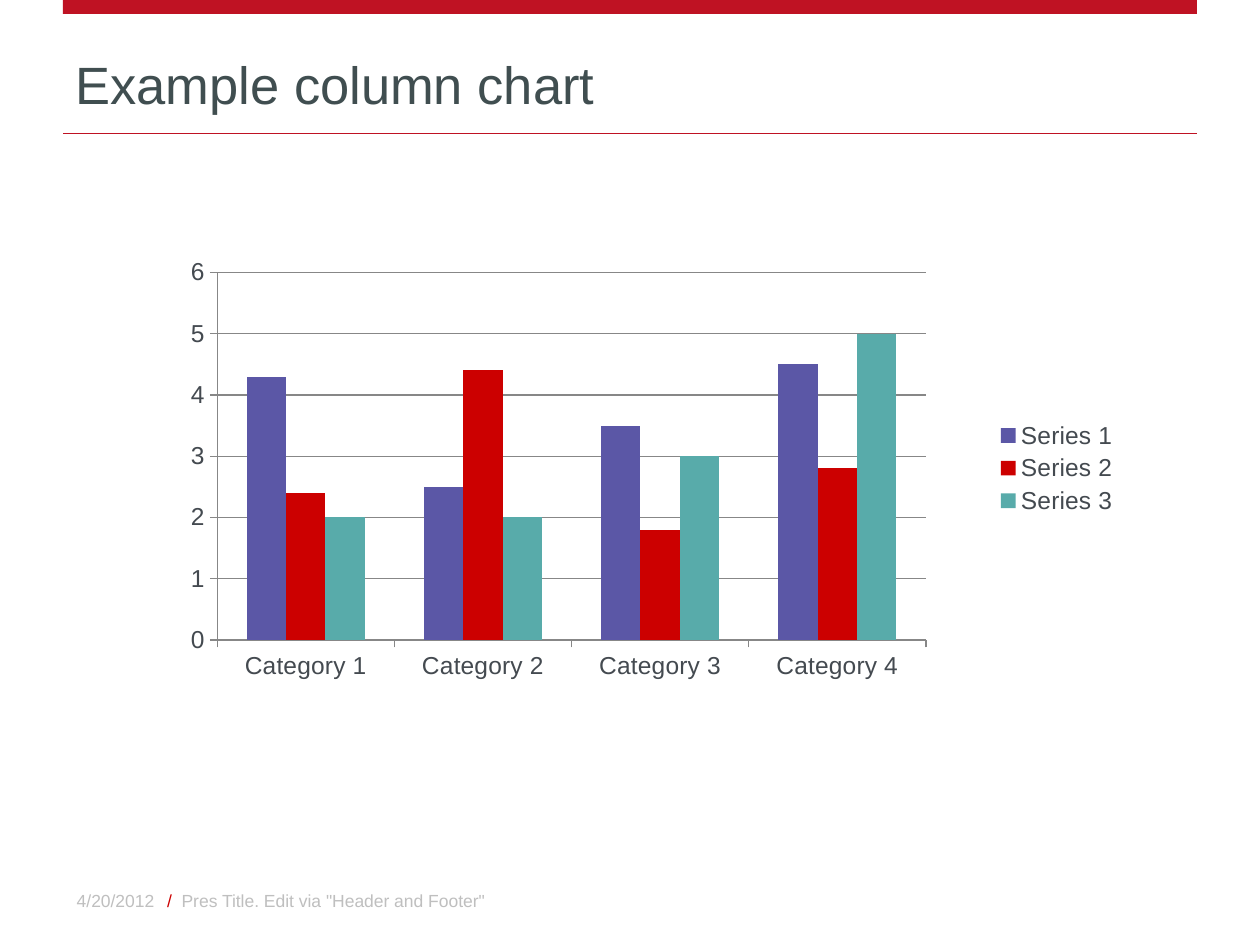
"""Build a slide with a clustered column chart."""
import pptx
import pptx.chart.data
import pptx.dml.color
import pptx.enum.chart
import pptx.enum.shapes
import pptx.enum.text
import pptx.oxml
import pptx.oxml.ns
import pptx.util

Cm, Pt = pptx.util.Cm, pptx.util.Pt
ENUM = pptx.enum.chart
ALIGN = pptx.enum.text.PP_ALIGN
ANCHOR = pptx.enum.text.MSO_ANCHOR

HUES = {"bar": "BF1223", "title": "404E50", "pale": "BFBFBF", "slash": "CC0000",
        "text": "444A50", "grid": "878787", "back": "FFFFFF"}
LEFT, WIDE = 1.27, 22.86
TEXTS = [
    ((LEFT, 0.71, WIDE, 1.73), 30, ALIGN.LEFT, ANCHOR.BOTTOM,
     [("Example column chart", "title")]),
    ((0.41, 17.65, 2.95, 1.02), 10, ALIGN.RIGHT, ANCHOR.MIDDLE,
     [("4/20/2012", "pale")]),
    ((3.12, 17.65, 8.05, 1.02), 10, ALIGN.LEFT, ANCHOR.MIDDLE,
     [("/ ", "slash"), (' Pres Title. Edit via "Header and Footer"', "pale")]),
]
CATS = ["Category 1", "Category 2", "Category 3", "Category 4"]
SERIES = [
    ("Series 1", (4.3, 2.5, 3.5, 4.5), "5B57A6"),
    ("Series 2", (2.4, 4.4, 1.8, 2.8), "CC0000"),
    ("Series 3", (2, 2, 3, 5), "58ABAA"),
]
PLOT = {"layoutTarget": "inner", "xMode": "edge", "yMode": "edge",
        "x": 0.136, "y": 0.142, "w": 0.625, "h": 0.657}
KEY = {"xMode": "edge", "yMode": "edge", "x": 0.82, "y": 0.4}
AXIS = {"major_tick_mark": ENUM.XL_TICK_MARK.OUTSIDE,
        "minor_tick_mark": ENUM.XL_TICK_MARK.NONE}
SCALE = {"minimum_scale": 0, "maximum_scale": 6, "major_unit": 1,
         "has_major_gridlines": True}


def rgb(code):
    return pptx.dml.color.RGBColor.from_string(code)


def apply(item, vals):
    for name, val in vals.items():
        setattr(item, name, val)


def paint(fill, code):
    fill.solid()
    fill.fore_color.rgb = rgb(code)


def style(font, size, hue):
    apply(font, {"name": "Arial", "size": Pt(size), "bold": False})
    font.color.rgb = rgb(HUES[hue])


def stroke(line, hue, width):
    paint(line.fill, HUES[hue])
    line.width = Pt(width)


def layout(vals):
    tags = "".join(f'<c:{tag} val="{val}"/>' for tag, val in vals.items())
    space = pptx.oxml.ns.nsdecls("c")
    return pptx.oxml.parse_xml(
        f"<c:layout {space}><c:manualLayout>{tags}</c:manualLayout></c:layout>")


def place(node, spot, vals):
    for old in node.findall(pptx.oxml.ns.qn("c:layout")):
        node.remove(old)
    node.insert(spot, layout(vals))


def add_bars(slide):
    bar = slide.shapes.add_shape(pptx.enum.shapes.MSO_SHAPE.RECTANGLE,
                                 Cm(LEFT), 0, Cm(WIDE), Cm(0.28))
    bar.shadow.inherit = False
    paint(bar.fill, HUES["bar"])
    bar.line.fill.background()
    rule = slide.shapes.add_connector(pptx.enum.shapes.MSO_CONNECTOR.STRAIGHT,
                                      Cm(LEFT), Cm(2.69), Cm(LEFT + WIDE), Cm(2.69))
    stroke(rule.line, "bar", 1)
    pptx.oxml.ns.qn("a:effectLst")
    rule._element.spPr.append(
        pptx.oxml.parse_xml(f'<a:effectLst {pptx.oxml.ns.nsdecls("a")}/>'))


def add_text(slide, box, size, align, anchor, runs):
    frame = slide.shapes.add_textbox(*map(Cm, box)).text_frame
    apply(frame, {"word_wrap": True, "vertical_anchor": anchor})
    para = frame.paragraphs[0]
    para.alignment = align
    for text, hue in runs:
        run = para.add_run()
        run.text = text
        style(run.font, size, hue)


def add_chart(slide):
    data = pptx.chart.data.CategoryChartData()
    data.categories = CATS
    for name, vals, _ in SERIES:
        data.add_series(name, vals)
    chart = slide.shapes.add_chart(ENUM.XL_CHART_TYPE.COLUMN_CLUSTERED, Cm(LEFT),
                                   Cm(3.89), Cm(WIDE), Cm(11.28), data).chart
    apply(chart, {"has_title": False, "has_legend": True})
    style(chart.font, 18, "text")
    plot = chart.plots[0]
    apply(plot, {"gap_width": 150, "overlap": 0, "vary_by_categories": False})
    for bars, (_, _, code) in zip(plot.series, SERIES):
        paint(bars.format.fill, code)
    apply(chart.value_axis, SCALE)
    stroke(chart.value_axis.major_gridlines.format.line, "grid", 0.75)
    for axis in (chart.category_axis, chart.value_axis):
        apply(axis, AXIS)
        style(axis.tick_labels.font, 14, "text")
        stroke(axis.format.line, "grid", 0.75)
    apply(chart.legend, {"position": ENUM.XL_LEGEND_POSITION.RIGHT,
                         "include_in_layout": False})
    style(chart.legend.font, 14, "text")
    root = chart._chartSpace.chart
    place(root.plotArea, 0, PLOT)
    place(root.legend, 1 if root.legend.legendPos is not None else 0, KEY)


def main():
    deck = pptx.Presentation()
    apply(deck, {"slide_width": Cm(25.4), "slide_height": Cm(19.05)})
    slide = deck.slides.add_slide(deck.slide_layouts[6])
    paint(slide.background.fill, HUES["back"])
    add_bars(slide)
    for item in TEXTS:
        add_text(slide, *item)
    add_chart(slide)
    deck.save("out.pptx")


if __name__ == "__main__":
    main()
